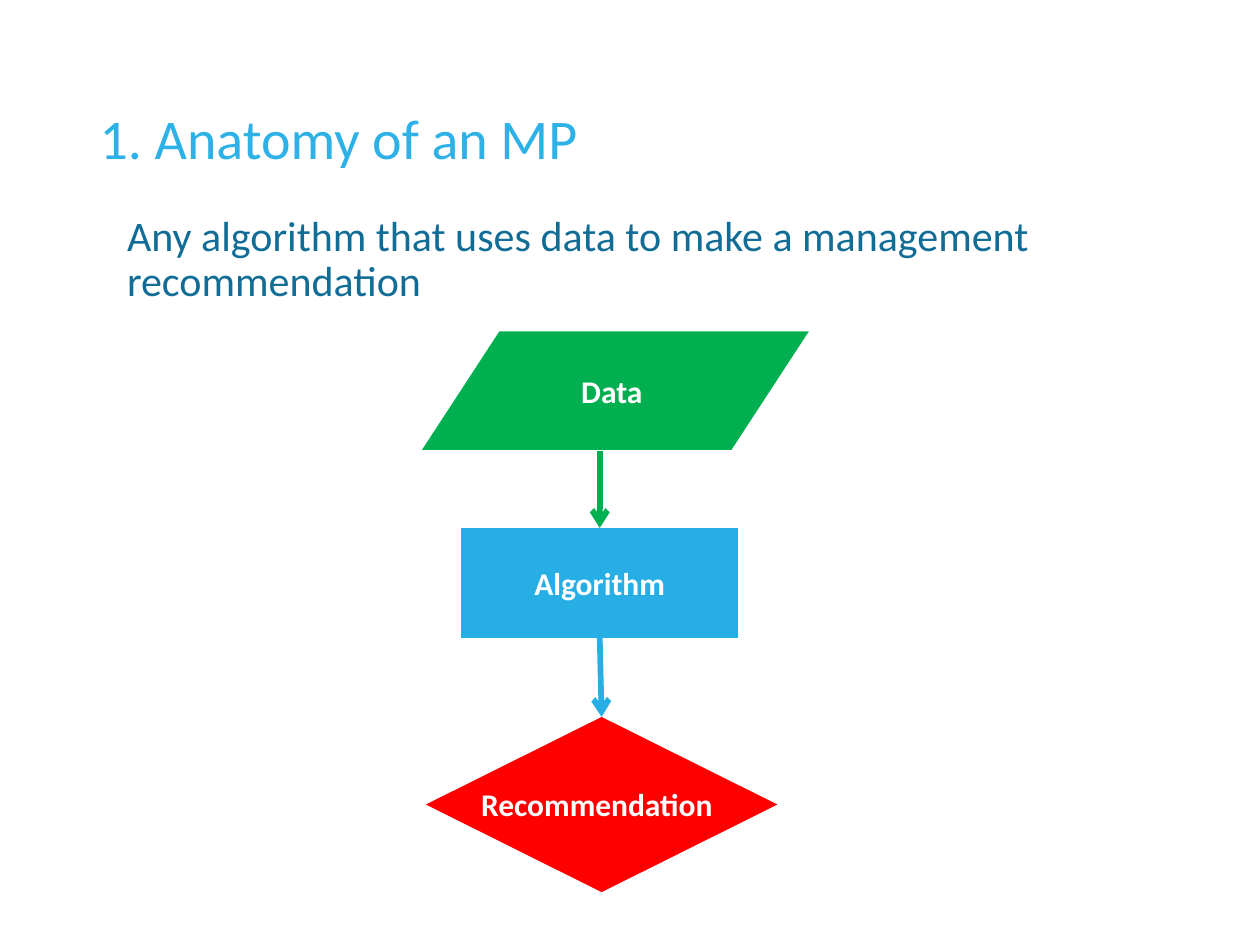
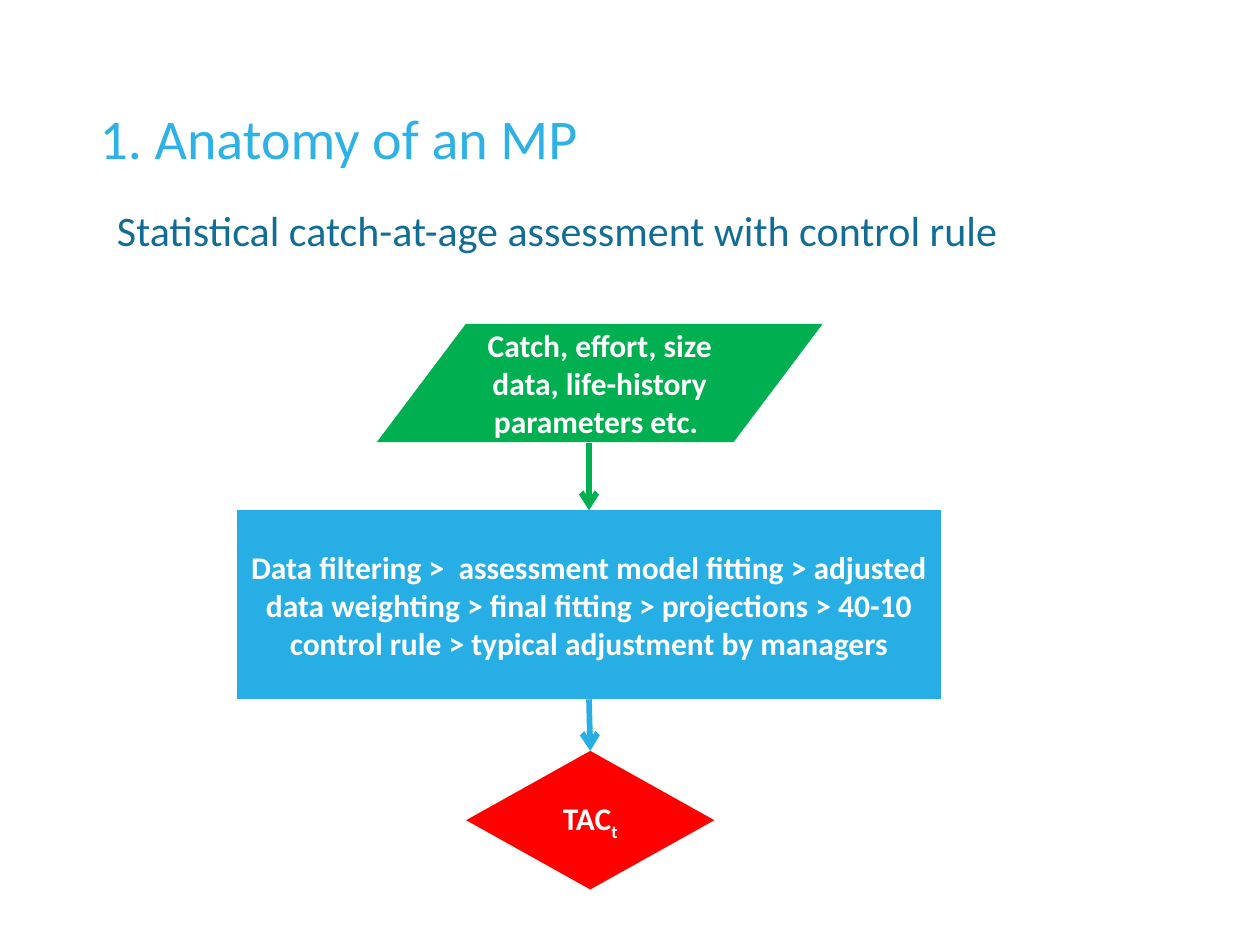
import pptx
import pptx.util
import pptx.dml.color
import pptx.enum.shapes
import pptx.enum.text
import pptx.oxml
import pptx.oxml.ns

Inches = pptx.util.Inches
Pt = pptx.util.Pt
KIND = pptx.enum.shapes.MSO_SHAPE
ALIGN = pptx.enum.text.PP_ALIGN
MIDDLE = pptx.enum.text.MSO_ANCHOR.MIDDLE
FONT = "Calibri"
COLOR = {
    "title": "2EB1E6",
    "body": "126D96",
    "data": "00B050",
    "rule": "27AFE5",
    "advice": "FF0000",
    "white": "FFFFFF",
}


def paint(name):
    """Return the named colour."""
    return pptx.dml.color.RGBColor.from_string(COLOR[name])


def write(para, text, size, color, bold=False, sub=False):
    """Add one styled run to a paragraph."""
    run = para.add_run()
    run.text = text
    run.font.name = FONT
    run.font.size = Pt(size)
    run.font.bold = bold
    run.font.color.rgb = paint(color)
    if sub:
        run.font._element.set("baseline", "-25000")


def place(shape, box):
    """Move a shape to a box of left, top, width and height."""
    shape.left, shape.top, shape.width, shape.height = map(Inches, box)


def head(slide, text):
    """Fill and format the slide title."""
    title = slide.shapes.title
    place(title, (0.69, 0.4, 8.62, 1.45))
    title.text_frame.vertical_anchor = MIDDLE
    para = title.text_frame.paragraphs[0]
    para.alignment = ALIGN.LEFT
    para.line_spacing = 0.9
    write(para, text, 32, "title")


def lead(slide, box, text):
    """Add the introductory sentence in a box."""
    shape = slide.shapes.add_textbox(*map(Inches, box))
    shape.text_frame.word_wrap = True
    para = shape.text_frame.paragraphs[0]
    para.line_spacing = 0.9
    para.space_before = Pt(10)
    write(para, text, 24, "body")


def node(slide, kind, box, color, text="", sub="", after=0):
    """Add a flowchart node with a centred label and optional subscript."""
    shape = slide.shapes.add_shape(kind, *map(Inches, box))
    shape.shadow.inherit = False
    shape.fill.solid()
    shape.fill.fore_color.rgb = paint(color)
    shape.line.fill.background()
    frame = shape.text_frame
    frame.word_wrap = True
    frame.vertical_anchor = MIDDLE
    para = frame.paragraphs[0]
    para.alignment = ALIGN.CENTER
    para.space_after = Pt(after)
    if text:
        write(para, text, 18, "white", True)
    if sub:
        write(para, sub, 18, "white", True, True)


def label(slide, box, text):
    """Add a bold white label that stays on one line."""
    shape = slide.shapes.add_textbox(*map(Inches, box))
    shape.text_frame.word_wrap = False
    write(shape.text_frame.paragraphs[0], text, 18, "white", True)


def arrow(slide, start, end, color):
    """Draw an open arrow between two points."""
    link = slide.shapes.add_connector(
        pptx.enum.shapes.MSO_CONNECTOR.STRAIGHT, *map(Inches, start + end))
    link.line.color.rgb = paint(color)
    link.line.width = Pt(3.25)
    props = link._element.spPr
    tip = pptx.oxml.parse_xml(
        "<a:tailEnd %s type='arrow'/>" % pptx.oxml.ns.nsdecls("a"))
    props.find(pptx.oxml.ns.qn("a:ln")).append(tip)
    props.append(pptx.oxml.parse_xml(
        "<a:effectLst %s/>" % pptx.oxml.ns.nsdecls("a")))


def flow(slide, boxes, texts, after, sub=""):
    """Stack data, rule and advice nodes and join them with arrows."""
    data, rule, advice = boxes
    node(slide, KIND.FLOWCHART_DATA, data, "data", texts[0])
    node(slide, KIND.FLOWCHART_PROCESS, rule, "rule", texts[1], after=after)
    node(slide, KIND.FLOWCHART_DECISION, advice, "advice", texts[2], sub)
    mid = rule[0] + rule[2] / 2
    tip = advice[0] + advice[2] / 2
    arrow(slide, (mid, data[1] + data[3] + 0.01), (mid, rule[1]), "data")
    arrow(slide, (mid, rule[1] + rule[3]), (tip, advice[1]), "rule")


def page(deck, box, text):
    """Add a slide with the shared title and its own lead sentence."""
    slide = deck.slides.add_slide(deck.slide_layouts[5])
    head(slide, "1. Anatomy of an MP")
    lead(slide, box, text)
    return slide


def basic(deck):
    """Build the slide of the general procedure."""
    slide = page(deck, (0.91, 1.66, 8.39, 1.36),
                 "Any algorithm that uses data to make a management "
                 "recommendation")
    boxes = ((3.35, 2.63, 3.07, 0.94), (3.66, 4.19, 2.2, 0.87),
             (3.38, 5.69, 2.79, 1.39))
    flow(slide, boxes, ("Data ", "Algorithm", ""), 12)
    left, top, _, _ = boxes[2]
    label(slide, (left + 0.34, top + 0.49, 2.15, 0.4), "Recommendation")


def stock(deck):
    """Build the slide of the catch-at-age example."""
    slide = page(deck, (0.83, 1.62, 8.39, 0.94),
                 "Statistical catch-at-age assessment with control rule")
    boxes = ((2.99, 2.57, 3.54, 0.94), (1.88, 4.05, 5.59, 1.5),
             (3.7, 5.96, 1.97, 1.1))
    texts = ("Catch, effort, size data, life-history parameters etc. ",
             "Data filtering >  assessment model fitting > adjusted data "
             "weighting > final fitting > projections > 40-10 control rule "
             "> typical adjustment by managers",
             "TAC")
    flow(slide, boxes, texts, 6, "t")


def main():
    """Build and save the deck."""
    deck = pptx.Presentation()
    deck.slide_width = Inches(10)
    deck.slide_height = Inches(7.5)
    basic(deck)
    stock(deck)
    deck.save("out.pptx")


main()
